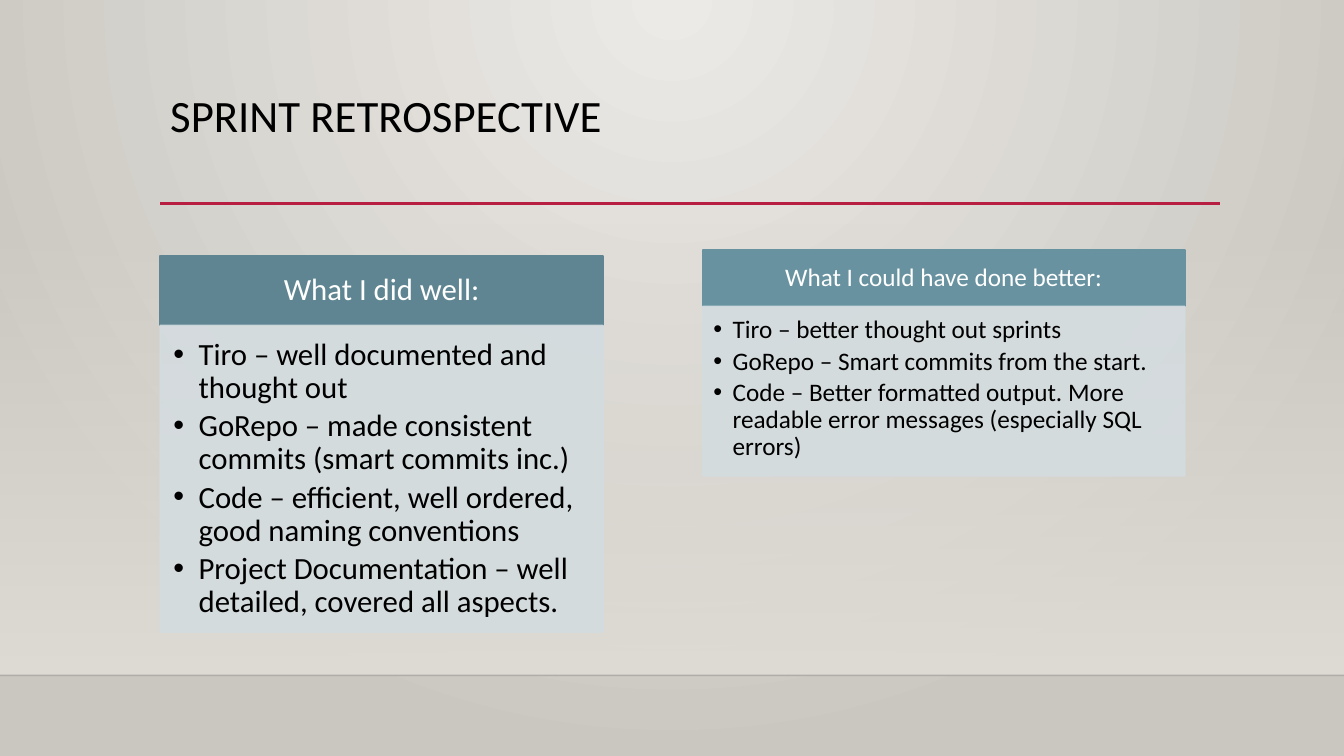
from lxml import etree
from pptx import Presentation
from pptx.dml.color import RGBColor
from pptx.enum.shapes import MSO_CONNECTOR, MSO_SHAPE
from pptx.enum.text import MSO_ANCHOR, PP_ALIGN
from pptx.oxml.ns import qn
from pptx.util import Inches, Pt

STRAIGHT = MSO_CONNECTOR.STRAIGHT
RECTANGLE = MSO_SHAPE.RECTANGLE
TOP, MIDDLE = MSO_ANCHOR.TOP, MSO_ANCHOR.MIDDLE
LEFT, CENTER = PP_ALIGN.LEFT, PP_ALIGN.CENTER
FONT = "Calibri"
BLACK, WHITE, PANEL = "000000", "FFFFFF", "D4DCDF"
WIDTH, HEIGHT, FLOOR = 13.33, 7.5, 6.7

DONE_WELL = [
    "Tiro – well documented and thought out",
    "GoRepo – made consistent commits (smart commits inc.)",
    "Code – efficient, well ordered, good naming conventions",
    "Project Documentation – well detailed, covered all aspects.",
]
DO_BETTER = [
    "Tiro – better thought out sprints",
    "GoRepo – Smart commits from the start.",
    "Code – Better formatted output. More readable error messages "
    "(especially SQL errors)",
]


def rgb(value):
    return RGBColor.from_string(value)


def set_opacity(color_element, percent):
    alpha = etree.SubElement(color_element, qn("a:alpha"))
    alpha.set("val", str(percent * 1000))


def fill_gradient(fill, colors):
    fill.gradient()
    for stop, position, color in zip(fill.gradient_stops, (0, 1), colors):
        stop.position = position
        stop.color.rgb = rgb(color)


def add_line(slide, left, right, top, color, weight, opacity=100):
    line = slide.shapes.add_connector(
        STRAIGHT, Inches(left), Inches(top), Inches(right), Inches(top))
    line.line.color.rgb = rgb(color)
    line.line.width = Pt(weight)
    properties = line.element.spPr
    etree.SubElement(properties, qn("a:effectLst"))
    if opacity < 100:
        set_opacity(properties.find(".//" + qn("a:srgbClr")), opacity)


def add_rectangle(slide, left, top, width, height):
    shape = slide.shapes.add_shape(
        RECTANGLE, Inches(left), Inches(top), Inches(width), Inches(height))
    shape.shadow.inherit = False
    return shape


def add_panel(slide, box, color, opacity=100):
    panel = add_rectangle(slide, *box)
    panel.fill.solid()
    panel.fill.fore_color.rgb = rgb(color)
    panel.line.color.rgb = rgb(color)
    panel.line.width = Pt(1.25)
    if opacity < 100:
        for element in panel.element.spPr.iter(qn("a:srgbClr")):
            set_opacity(element, opacity)
    return panel


def write_text(shape, lines, size, color, align, anchor, insets):
    frame = shape.text_frame
    frame.word_wrap = True
    frame.vertical_anchor = anchor
    (frame.margin_left, frame.margin_top,
     frame.margin_right, frame.margin_bottom) = map(Inches, insets)
    frame.text = "\n".join(lines)
    for para in frame.paragraphs:
        para.alignment = align
        para.line_spacing = 0.9
        font = para.runs[0].font
        font.name, font.size = FONT, Pt(size)
        font.color.rgb = rgb(color)


def add_bullets(frame, size, indent):
    for para in frame.paragraphs:
        para.space_after = Pt(round(size * 0.16, 1))
        properties = para._p.get_or_add_pPr()
        properties.set("marL", str(Inches(indent)))
        properties.set("indent", str(-Inches(indent)))
        etree.SubElement(properties, qn("a:buFont")).set("typeface", "Arial")
        etree.SubElement(properties, qn("a:buChar")).set("char", "•")


def draw_backdrop(slide):
    """Radial background, fading wall, and the floor edge."""
    fill_gradient(slide.background.fill, ("ECEAE7", "CAC7C1"))
    gradient = slide.element.find(".//" + qn("a:gradFill"))
    gradient.remove(gradient.find(qn("a:lin")))
    circle = etree.SubElement(gradient, qn("a:path"))
    circle.set("path", "circle")
    center = etree.SubElement(circle, qn("a:fillToRect"))
    for side, share in zip("ltrb", (43, 0, 43, 100)):
        center.set(side, str(share * 1000))

    wall = add_rectangle(slide, 0, 2.21, WIDTH, FLOOR - 2.21)
    fill_gradient(wall.fill, ("DFDBD5", "DFDBD5"))
    wall.fill.gradient_angle = 270
    set_opacity(wall.element.spPr.find(".//" + qn("a:srgbClr")), 0)
    wall.line.fill.background()
    add_line(slide, 0, WIDTH, FLOOR, "000001", 1, 20)


def draw_title(slide, left, top, width, height):
    add_line(slide, left, left + 10.51, 2.02, "B71E42", 2.5)
    title = slide.shapes.add_textbox(
        Inches(left), Inches(top), Inches(width), Inches(height))
    write_text(title, ["SPRINT RETROSPECTIVE"], 32, BLACK, LEFT, TOP,
               (0.1, 0.05, 0.1, 0.05))


def draw_card(slide, box, header_height, heading, points, color, size):
    """Heading bar over a bulleted panel, with insets that follow text size."""
    left, top, width, height = box
    unit = size / 22
    header = add_panel(slide, (left, top, width, header_height), color)
    write_text(header, [heading], size, WHITE, CENTER, MIDDLE,
               [unit * inset for inset in (0.17, 0.1, 0.17, 0.1)])
    body = add_panel(slide, (left, top + header_height, width,
                             height - header_height), PANEL, 90)
    write_text(body, points, size, BLACK, LEFT, TOP,
               [unit * inset for inset in (0.13, 0.13, 0.17, 0.19)])
    add_bullets(body.text_frame, size, 0.25 if size > 20 else 0.19)


def main():
    deck = Presentation()
    deck.slide_width, deck.slide_height = Inches(WIDTH), Inches(HEIGHT)
    slide = deck.slides.add_slide(deck.slide_layouts[6])
    draw_backdrop(slide)
    draw_title(slide, 1.59, 0.88, 10.5, 1.15)
    draw_card(slide, (1.59, 2.54, 4.39, 3.73), 0.69,
              "What I did well:", DONE_WELL, "5E8591", 22)
    draw_card(slide, (6.97, 2.48, 4.78, 2.24), 0.56,
              "What I could have done better:", DO_BETTER, "6892A0", 18)
    deck.save("out.pptx")


if __name__ == "__main__":
    main()
